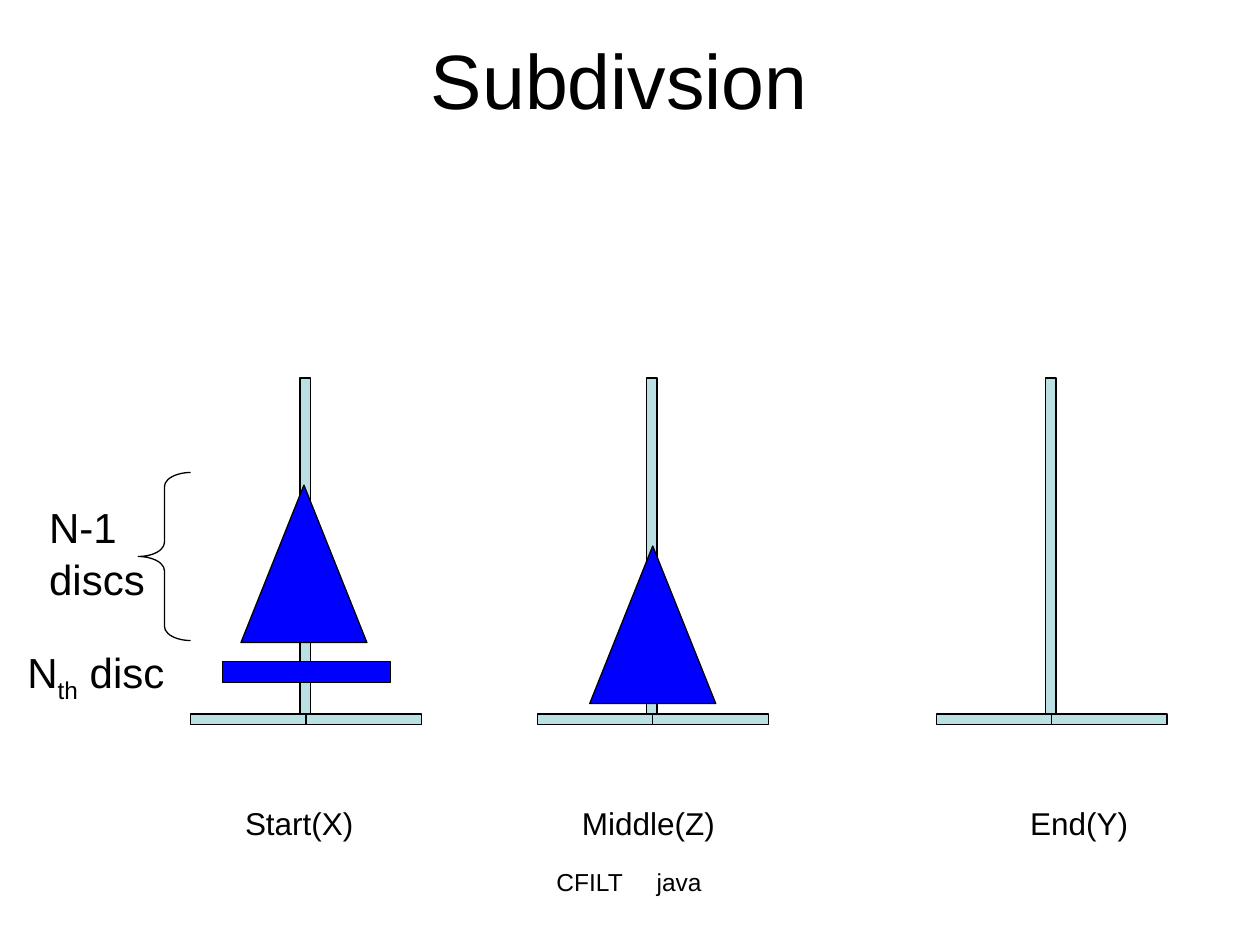
from lxml import etree
from pptx import Presentation
from pptx.dml.color import RGBColor
from pptx.enum.shapes import MSO_SHAPE
from pptx.enum.text import MSO_ANCHOR, PP_ALIGN
from pptx.oxml.ns import qn
from pptx.util import Pt

BLACK = RGBColor(0, 0, 0)
PEG_FILL = RGBColor(0xBB, 0xE0, 0xE3)
DISC_FILL = RGBColor(0, 0, 0xFF)


def add_part(shapes, kind, left, top, width, height, fill=None):
    shape = shapes.add_shape(kind, Pt(left), Pt(top), Pt(width), Pt(height))
    shape.shadow.inherit = False
    if fill is None:
        shape.fill.background()
    else:
        shape.fill.solid()
        shape.fill.fore_color.rgb = fill
    shape.line.color.rgb = BLACK
    shape.line.width = Pt(0.75)
    return shape


def write_text(shape, runs, size=18, align=PP_ALIGN.CENTER, wrap=True,
               anchor=MSO_ANCHOR.TOP, tab=None, gap=0):
    frame = shape.text_frame
    frame.word_wrap = wrap
    frame.vertical_anchor = anchor
    for index, line in enumerate(runs):
        paragraph = frame.add_paragraph() if index else frame.paragraphs[0]
        paragraph.alignment = align
        if index:
            paragraph.space_before = Pt(gap)
        if tab:
            tabs = etree.SubElement(paragraph._p.get_or_add_pPr(), qn("a:tabLst"))
            etree.SubElement(tabs, qn("a:tab"), pos=str(Pt(tab)), algn="l")
        for text, baseline in line:
            run = paragraph.add_run()
            run.text = text
            run.font.name = "Arial"
            run.font.size = Pt(size)
            run.font.color.rgb = BLACK
            if baseline:
                run._r.get_or_add_rPr().set("baseline", str(baseline * 1000))


presentation = Presentation()
presentation.slide_width = Pt(720)
presentation.slide_height = Pt(540)
slide = presentation.slides.add_slide(presentation.slide_layouts[5])
shapes = slide.shapes

title = shapes.title
title.left, title.top, title.width, title.height = Pt(30), Pt(0), Pt(648), Pt(90)
write_text(title, [[("Subdivsion", 0)]], size=44, anchor=MSO_ANCHOR.MIDDLE)

BASE_TOP, BASE_HALF, THICKNESS = 408, 66, 6
for middle in (175, 373, 601):
    tower = shapes.add_group_shape().shapes
    add_part(tower, MSO_SHAPE.RECTANGLE, middle - 3.6, 216, THICKNESS, 192, PEG_FILL)
    for left in (middle, middle - BASE_HALF):
        add_part(tower, MSO_SHAPE.RECTANGLE, left, BASE_TOP, BASE_HALF, THICKNESS, PEG_FILL)

add_part(shapes, MSO_SHAPE.ISOSCELES_TRIANGLE, 137.7, 277.2, 72, 90, DISC_FILL)
add_part(shapes, MSO_SHAPE.RECTANGLE, 127, 378, 96, 12, DISC_FILL)
add_part(shapes, MSO_SHAPE.ISOSCELES_TRIANGLE, 337, 312, 72, 90, DISC_FILL)

for label, left in (("Start(X)", 119.5), ("Middle(Z)", 319), ("End(Y)", 565.2)):
    box = shapes.add_textbox(Pt(left), Pt(455.8), Pt(103), Pt(29))
    write_text(box, [[(label, 0)]])

brace = add_part(shapes, MSO_SHAPE.LEFT_BRACE, 79, 270, 30, 96)
brace.adjustments[0] = 0.27

disc_labels = (
    (21, 283, 69, 65, [[("N-1", 0)], [("discs", 0)]]),
    (8.6, 366, 93, 40, [[("N", 0), ("th", -25), (" disc", 0)]]),
)
for left, top, width, height, runs in disc_labels:
    box = shapes.add_textbox(Pt(left), Pt(top), Pt(width), Pt(height))
    write_text(box, runs, size=24, align=PP_ALIGN.LEFT, wrap=False, gap=1.2)

footer = shapes.add_textbox(Pt(246), Pt(492), Pt(228), Pt(37.5))
footer.text_frame.margin_left = Pt(72)
write_text(footer, [[("CFILT\tjava", 0)]], size=14, align=PP_ALIGN.LEFT, tab=57.2)

presentation.save("out.pptx")
